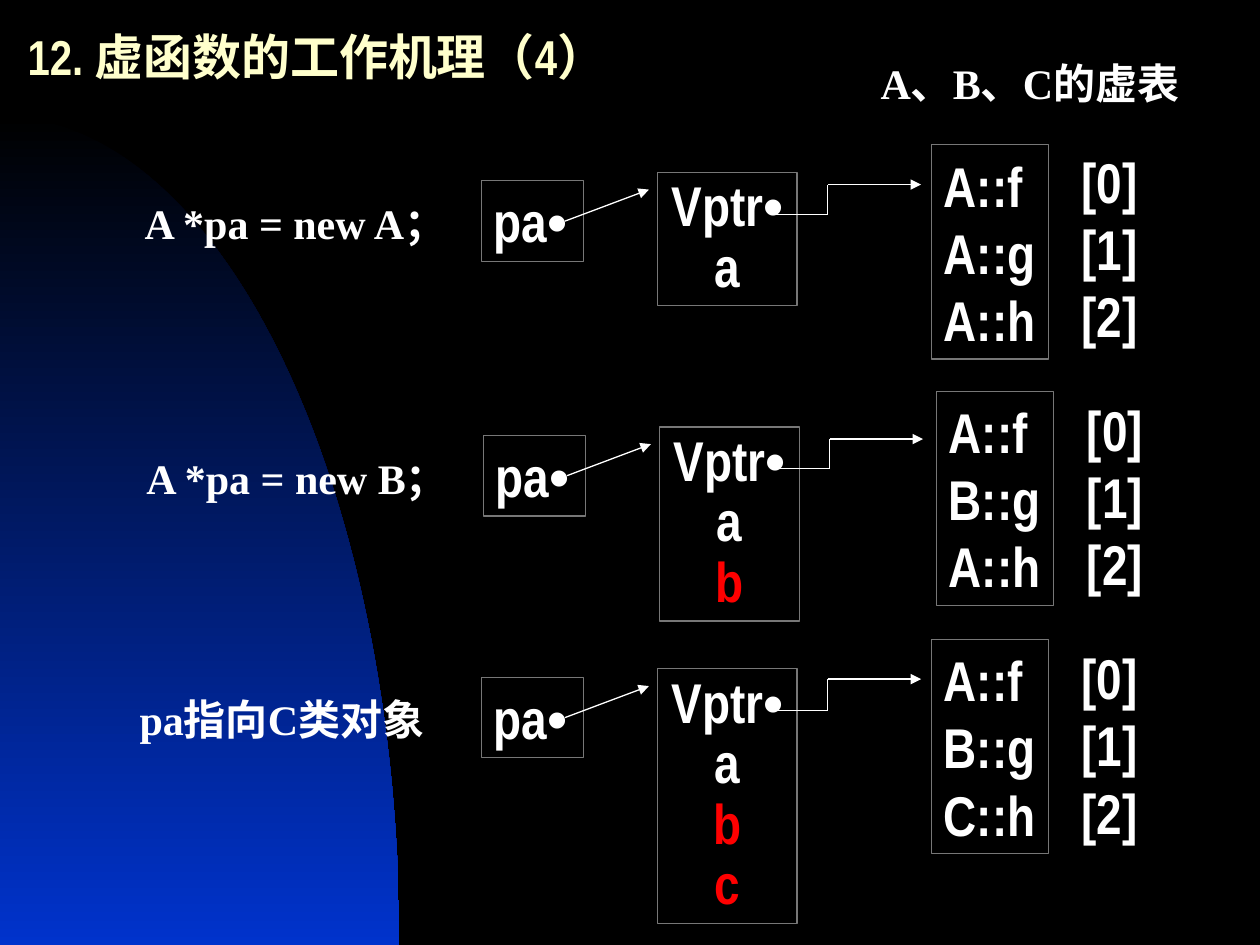
from dataclasses import dataclass
from math import cos, pi, sin

from lxml.etree import SubElement
from pptx import Presentation
from pptx.dml.color import RGBColor
from pptx.enum.shapes import MSO_CONNECTOR as Connector, MSO_SHAPE as Preset
from pptx.enum.text import MSO_ANCHOR as Anchor, MSO_AUTO_SIZE as AutoSize, PP_ALIGN as Align
from pptx.oxml.ns import qn
from pptx.shapes.base import BaseShape
from pptx.slide import Slide
from pptx.util import Inches, Pt

SLIDE_WIDTH, SLIDE_HEIGHT = Inches(10), Inches(7.5)
COLUMN, ROW = SLIDE_WIDTH / 100, SLIDE_HEIGHT / 75
BLACK, WHITE, RED, GREY = "000000", "FFFFFF", "FF0000", "777777"
BLUE, CREAM = "0033CC", "FFFFCC"
DOT = "•"
INHERITED_MEMBERS = 2


@dataclass(frozen=True)
class Area:
    """A place on the grid, in columns and rows."""
    left: float
    top: float
    width: float
    height: float

    def emu(self) -> tuple[int, int, int, int]:
        return (round(self.left * COLUMN), round(self.top * ROW),
                round(self.width * COLUMN), round(self.height * ROW))


@dataclass(frozen=True)
class TextStyle:
    font: str = "Arial Narrow"
    size: int = 32
    color: str = WHITE
    align: Align = Align.LEFT
    spacing: float = 1.0
    wrap: bool = False


CODE = TextStyle()
MEMBERS = TextStyle(align=Align.CENTER, spacing=0.9)
CAPTION = TextStyle("Times New Roman", 24, wrap=True)
TITLE = TextStyle(size=28, color=CREAM, spacing=0.7, wrap=True)


@dataclass(frozen=True)
class ObjectRow:
    """One object: its pointer, its members and its virtual table."""
    caption: str
    caption_area: Area
    left: float
    top: float
    members: list[str]
    table_left: float
    table_top: float
    functions: list[str]
    index_top: float
    bend_top: float


OBJECT_ROWS = [
    ObjectRow("A *pa = new A；", Area(10.5, 15.2, 30.3, 5), 38.2, 14.35,
              ["Vptr•", "a"], 73.92, 11.5, ["A::f", "A::g", "A::h"], 11.2, 14.65),
    ObjectRow("A *pa = new B；", Area(10.63, 35.4, 30.3, 5), 38.36, 34.55,
              ["Vptr•", "a", "b"], 74.32, 31.05, ["A::f", "B::g", "A::h"], 30.9, 34.85),
    ObjectRow("pa指向C类对象", Area(10.1, 54.55, 24.8, 9), 38.2, 53.75,
              ["Vptr•", "a", "b", "c"], 73.92, 50.75, ["A::f", "B::g", "C::h"], 50.6, 53.9),
]


def rgb(color: str) -> RGBColor:
    return RGBColor.from_string(color)


def write(shape: BaseShape, lines: list[str], style: TextStyle, plain: int | None = None) -> None:
    """Fill a shape with one paragraph a line; lines after the first `plain` are red."""
    frame = shape.text_frame
    frame.word_wrap = style.wrap
    frame.vertical_anchor = Anchor.TOP
    frame.auto_size = AutoSize.SHAPE_TO_FIT_TEXT
    for number, line in enumerate(lines):
        paragraph = frame.paragraphs[0] if number == 0 else frame.add_paragraph()
        paragraph.alignment = style.align
        paragraph.line_spacing = style.spacing
        font = paragraph.font
        font.name, font.size, font.bold = style.font, Pt(style.size), True
        added = plain is not None and number >= plain
        font.color.rgb = rgb(RED if added else style.color)
        paragraph.add_run().text = line.removesuffix(DOT)
        if line.endswith(DOT):
            dot = paragraph.add_run()
            dot.text = DOT
            dot.font.name = "Arial"


def add_text(slide: Slide, area: Area, lines: list[str], style: TextStyle) -> BaseShape:
    shape = slide.shapes.add_textbox(*area.emu())
    write(shape, lines, style)
    return shape


def add_box(slide: Slide, area: Area, lines: list[str], style: TextStyle,
            plain: int | None = None) -> None:
    shape = slide.shapes.add_shape(Preset.RECTANGLE, *area.emu())
    shape.shadow.inherit = False
    shape.fill.background()
    shape.line.color.rgb = rgb(GREY)
    shape.line.width = Pt(0.75)
    write(shape, lines, style, plain)


def add_line(slide: Slide, start: tuple[float, float], end: tuple[float, float],
             arrow: bool = False) -> None:
    ends = [round(length) for x, y in (start, end) for length in (x * COLUMN, y * ROW)]
    line = slide.shapes.add_connector(Connector.STRAIGHT, *ends)
    line.line.color.rgb = rgb(WHITE)
    line.line.width = Pt(0.75)
    properties = line._element.spPr
    if arrow:
        SubElement(properties.find(qn("a:ln")), qn("a:tailEnd"), type="triangle")
    SubElement(properties, qn("a:effectLst"))


def add_backdrop(slide: Slide) -> None:
    """Draw a quarter ellipse centred on the slide's lower left corner."""
    width, height, steps = 0.317 * SLIDE_WIDTH, 0.877 * SLIDE_HEIGHT, 90
    angles = [pi / 2 * step / steps for step in range(steps + 1)]
    curve = [(round(width * sin(angle)), round(SLIDE_HEIGHT - height * cos(angle)))
             for angle in angles]
    builder = slide.shapes.build_freeform(*curve[0])
    builder.add_line_segments(curve[1:] + [(0, SLIDE_HEIGHT)], close=True)
    shape = builder.convert_to_shape()
    shape.shadow.inherit = False
    shape.line.fill.background()
    shape.fill.gradient()
    shape.fill.gradient_angle = 270
    for stop, color in zip(shape.fill.gradient_stops, (BLACK, BLUE)):
        stop.color.rgb = rgb(color)


def add_object_row(slide: Slide, row: ObjectRow) -> None:
    left, top = row.left, row.top
    add_text(slide, row.caption_area, [row.caption], CAPTION)
    add_box(slide, Area(left, top, 8.1, 6.4), ["pa•"], CODE)
    add_line(slide, (left + 6.65, top + 3.2), (left + 13.3, top + 0.7), arrow=True)

    members_height = 1 + 4.8 * len(row.members)
    add_box(slide, Area(left + 13.97, top - 0.67, 11.1, members_height),
            row.members, MEMBERS, INHERITED_MEMBERS)

    bend, link_top = left + 27.5, top + 2.65
    add_line(slide, (left + 23.3, link_top), (bend, link_top))
    add_line(slide, (bend, link_top), (bend, row.bend_top))
    add_line(slide, (bend, row.bend_top), (left + 34.9, row.bend_top), arrow=True)

    add_box(slide, Area(row.table_left, row.table_top, 9.3, 17), row.functions, CODE)
    indexes = [f"[{index}]" for index in range(len(row.functions))]
    add_text(slide, Area(row.table_left + 10.95, row.index_top, 6.6, 17), indexes, CODE)


def main() -> None:
    presentation = Presentation()
    presentation.slide_width, presentation.slide_height = SLIDE_WIDTH, SLIDE_HEIGHT
    slide = presentation.slides.add_slide(presentation.slide_layouts[6])
    background = slide.background.fill
    background.solid()
    background.fore_color.rgb = rgb(BLACK)

    add_backdrop(slide)
    title = add_text(slide, Area(1.2, 0.5, 92.1, 9.1), ["12. 虚函数的工作机理（4）"], TITLE)
    title.text_frame.auto_size = AutoSize.NONE
    title.text_frame.vertical_anchor = Anchor.MIDDLE
    add_text(slide, Area(68.9, 4.05, 27.6, 9), ["A、B、C的虚表"], CAPTION)
    for row in OBJECT_ROWS:
        add_object_row(slide, row)
    presentation.save("out.pptx")


if __name__ == "__main__":
    main()
